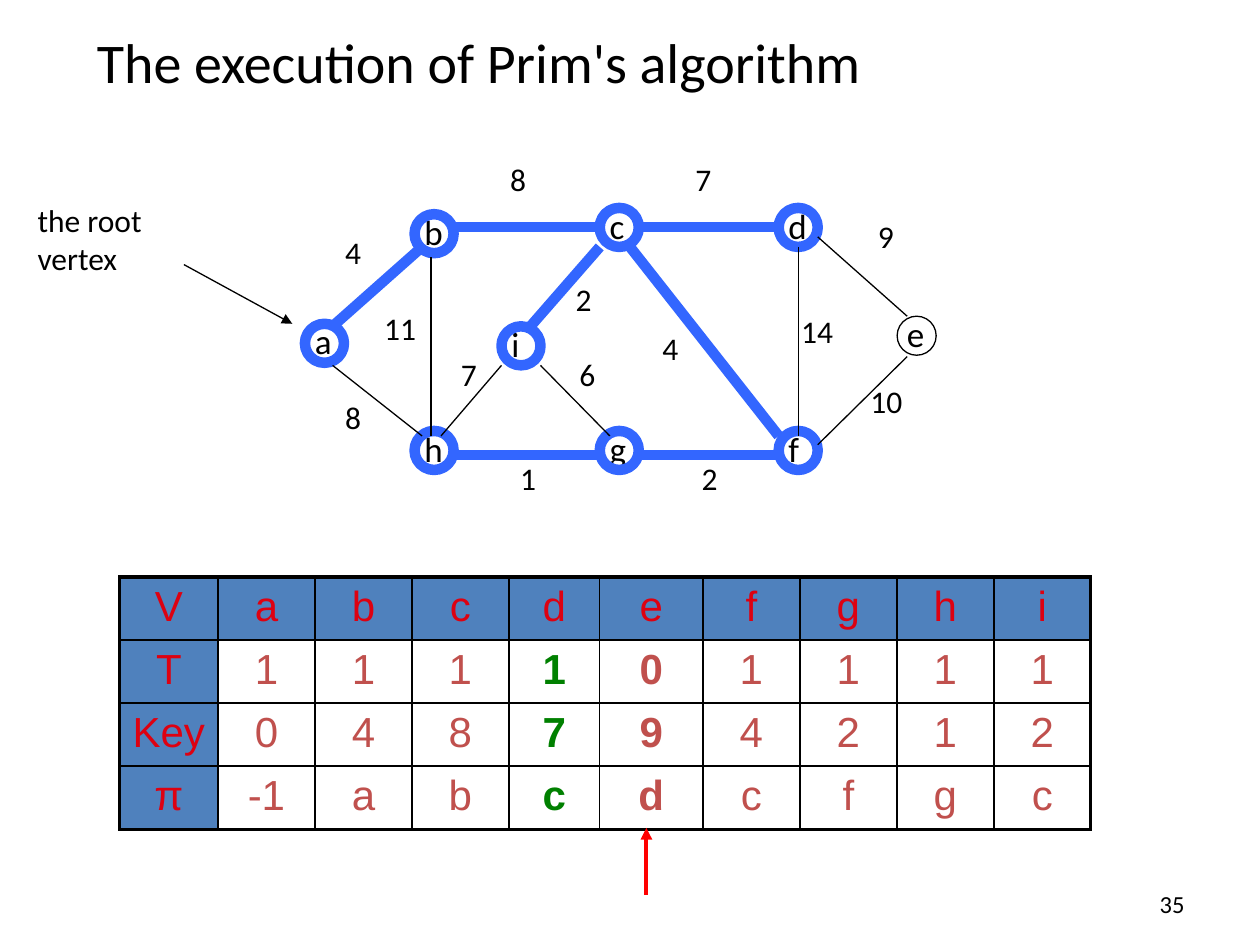
from lxml.etree import SubElement
from pptx import Presentation
from pptx.dml.color import RGBColor
from pptx.enum.shapes import MSO_CONNECTOR, MSO_SHAPE
from pptx.enum.text import MSO_ANCHOR, PP_ALIGN
from pptx.oxml.ns import qn
from pptx.util import Inches, Pt

BLACK, BLUE, RED = "000000", "3366FF", "FF0000"
HEAD, BRICK, GREEN, FILL = "DD0111", "C0504D", "008000", "4F81BD"
THIN, BOLD = 0.75, 6
RING = 0.31


def paint(code):
    return RGBColor.from_string(code)


def write(frame, text, size=18, color=BLACK, font="Calibri", bold=False,
          align=PP_ALIGN.LEFT):
    par = frame.paragraphs[0]
    par.alignment = align
    run = par.add_run()
    run.text = text
    run.font.size = Pt(size)
    run.font.name = font
    run.font.bold = bold
    run.font.color.rgb = paint(color)


class Board:
    def __init__(self, slide, font="Calibri"):
        self.slide = slide
        self.font = font
        self.shapes = slide.shapes

    def group(self):
        self.shapes = self.slide.shapes.add_group_shape().shapes

    def ungroup(self):
        self.shapes = self.slide.shapes

    def text(self, text, x, y, wide, high, wrap=False,
             anchor=MSO_ANCHOR.TOP, **style):
        box = self.shapes.add_textbox(*map(Inches, (x, y, wide, high)))
        box.text_frame.word_wrap = wrap
        box.text_frame.vertical_anchor = anchor
        write(box.text_frame, text, font=self.font, **style)

    def line(self, start, end, color=BLACK, width=THIN, arrow=False):
        link = self.shapes.add_connector(
            MSO_CONNECTOR.STRAIGHT, *map(Inches, (*start, *end)))
        link.line.color.rgb = paint(color)
        link.line.width = Pt(width)
        if arrow:
            SubElement(link.line._get_or_add_ln(), qn("a:tailEnd"),
                       type="triangle")
        SubElement(link._element.spPr, qn("a:effectLst"))

    def node(self, name, x, y, color=BLUE, width=BOLD):
        self.text(name, x - 0.02, y - 0.08, 0.36, 0.43, size=20)
        ring = self.shapes.add_shape(
            MSO_SHAPE.OVAL, *map(Inches, (x, y, RING, RING)))
        ring.shadow.inherit = False
        ring.fill.background()
        ring.line.color.rgb = paint(color)
        ring.line.width = Pt(width)

    def cell(self, cell, text, edges, fill=None, **style):
        props = cell._tc.get_or_add_tcPr()
        for side, width in edges.items():
            edge = SubElement(props, qn("a:ln" + side), w=str(Pt(width)))
            solid = SubElement(edge, qn("a:solidFill"))
            SubElement(solid, qn("a:srgbClr"), val=BLACK)
        if fill:
            cell.fill.solid()
            cell.fill.fore_color.rgb = paint(fill)
        else:
            cell.fill.background()
        write(cell.text_frame, text, size=24, font="Arial",
              align=PP_ALIGN.CENTER, **style)

    def table(self, rows, x, y, widths, high):
        count, span = len(rows), len(widths)
        grid = self.shapes.add_table(
            count, span, *map(Inches, (x, y, sum(widths), high * count))).table
        grid.first_row = grid.horz_banding = False
        for col, wide in zip(grid.columns, widths):
            col.width = Inches(wide)
        for r, row in enumerate(rows):
            grid.rows[r].height = Inches(high)
            for c, text in enumerate(row):
                outer = {"L": c == 0, "R": c == span - 1,
                         "T": r == 0, "B": r == count - 1}
                edges = {side: 2.25 if out else 1
                         for side, out in outer.items()}
                head = r == 0 or c == 0
                color = HEAD if head else GREEN if c == 4 else BRICK
                self.cell(grid.cell(r, c), text, edges,
                          fill=FILL if head else None, color=color,
                          bold=not head and c in (4, 5))


def main():
    deck = Presentation()
    deck.slide_width, deck.slide_height = Inches(10), Inches(7.5)
    board = Board(deck.slides.add_slide(deck.slide_layouts[6]))

    # Page number, title and root note
    board.text("35", 7.17, 7, 2.33, 0.35, wrap=True, size=14,
               anchor=MSO_ANCHOR.MIDDLE, align=PP_ALIGN.RIGHT)
    board.text("The execution of Prim's algorithm", 0.67, 0.17, 8.58, 0.64,
               wrap=True, size=32)
    board.text("the root vertex", 0.2, 1.55, 1.34, 0.9, wrap=True)
    board.line((1.46, 2.1), (2.32, 2.57), arrow=True)

    # State of each vertex
    rows = ["V a b c d e f g h i", "T 1 1 1 1 0 1 1 1 1",
            "Key 0 4 8 7 9 4 2 1 2", "π -1 a b c d c f g c"]
    widths = [0.78] + [0.77] * 3 + [0.72, 0.82] + [0.77] * 4
    board.table([row.split() for row in rows], 0.95, 4.58, widths, 0.5)

    # Graph nodes
    board.group()
    for name, x, y in [("a", 2.42, 2.57), ("b", 3.29, 1.7), ("h", 3.29, 3.42),
                       ("c", 4.76, 1.65), ("d", 6.18, 1.65),
                       ("f", 6.18, 3.42), ("g", 4.76, 3.42),
                       ("i", 3.98, 2.59)]:
        board.node(name, x, y)
    board.node("e", 7.12, 2.51, BLACK, THIN)

    # Tree edges
    for start, end in [((2.64, 2.59), (3.35, 1.96)), ((3.58, 1.8), (4.76, 1.8)),
                       ((3.58, 3.61), (4.76, 3.61)),
                       ((5.08, 3.61), (6.18, 3.61)), ((5, 1.96), (6.18, 3.46)),
                       ((5.08, 1.8), (6.18, 1.8)), ((4.21, 2.59), (4.76, 1.96))]:
        board.line(start, end, BLUE, BOLD)

    # Other edges
    for start, end in [((2.64, 2.9), (3.35, 3.46)), ((3.42, 2.04), (3.42, 3.46)),
                       ((6.34, 1.96), (6.34, 3.46)), ((6.49, 1.88), (7.2, 2.51)),
                       ((6.49, 3.53), (7.2, 2.83)), ((4.29, 2.9), (4.84, 3.46)),
                       ((3.5, 3.46), (3.98, 2.9))]:
        board.line(start, end)

    # Edge weights
    for cost, x, y in [("4", 2.64, 1.8), ("8", 3.95, 1.22), ("7", 5.42, 1.22),
                       ("9", 6.87, 1.67), ("10", 6.81, 2.98),
                       ("14", 6.26, 2.43), ("4", 5.16, 2.56),
                       ("2", 4.47, 2.17), ("2", 5.47, 3.59), ("6", 4.5, 2.77),
                       ("1", 4.03, 3.59), ("7", 3.56, 2.77),
                       ("11", 2.95, 2.4), ("8", 2.64, 3.11)]:
        board.text(cost, x, y, 0.2 + 0.14 * len(cost), 0.4)
    board.ungroup()

    # Pointer to the current vertex
    board.line((5.13, 7.1), (5.13, 6.57), RED, 2.25, arrow=True)

    deck.save("out.pptx")


if __name__ == "__main__":
    main()
